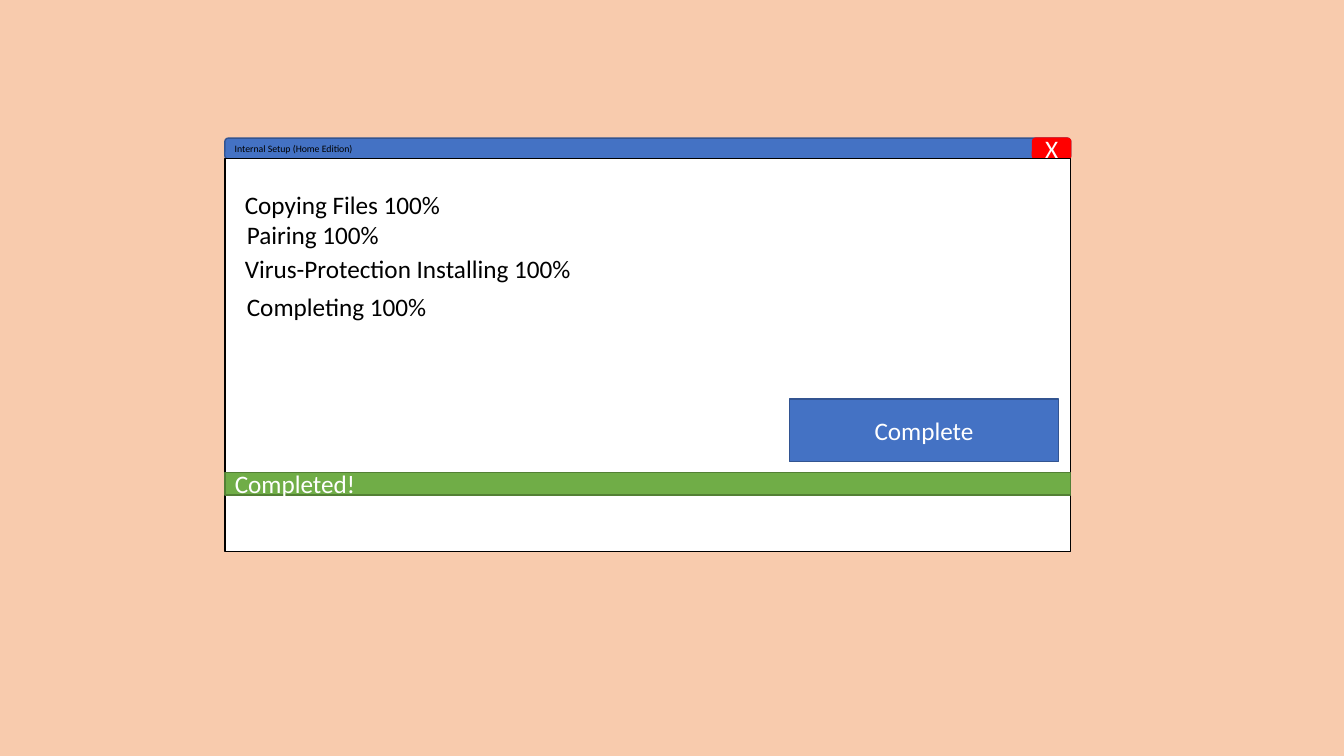
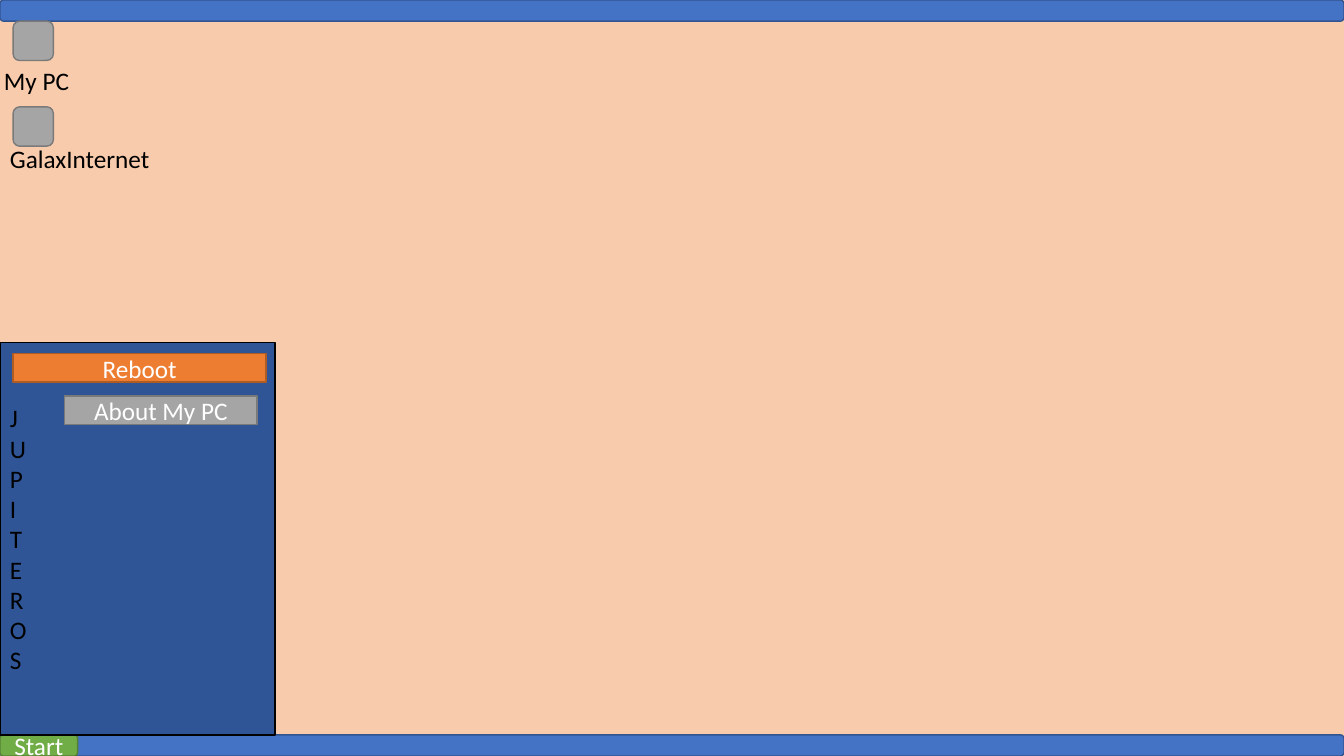
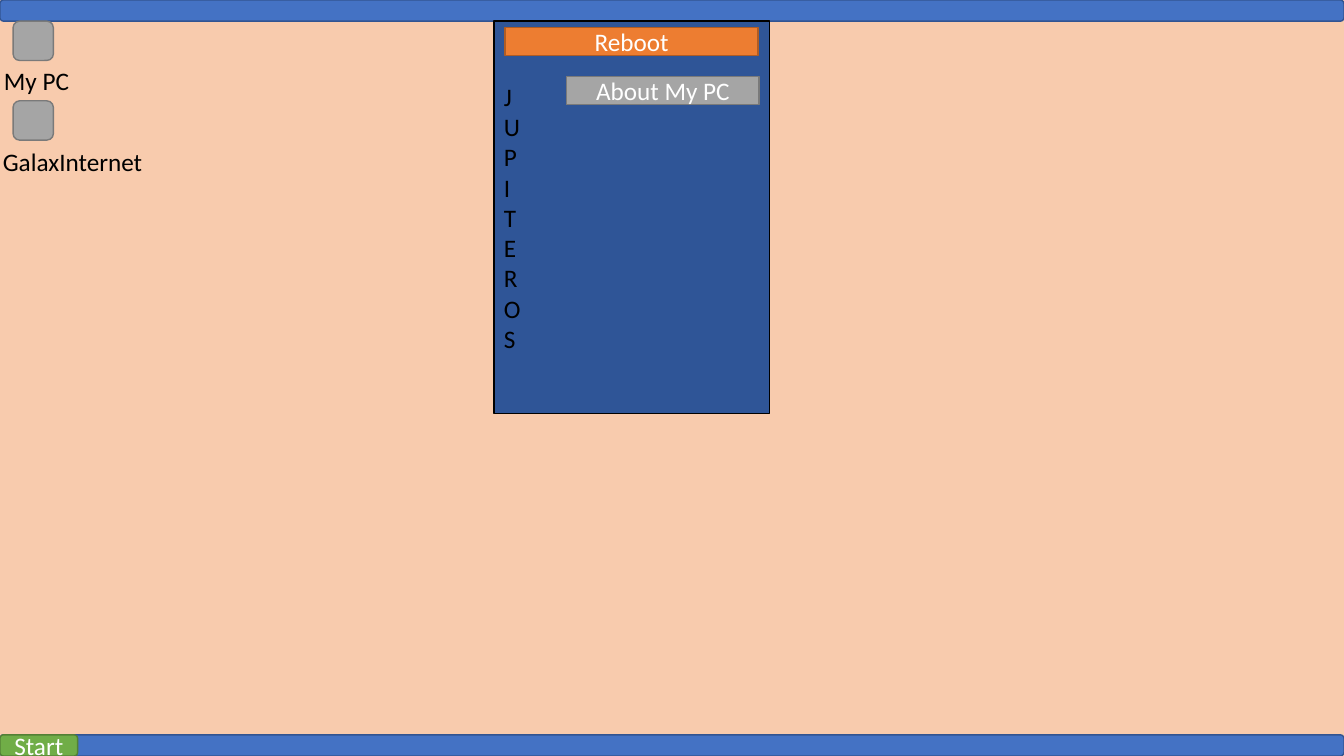
from pptx import Presentation
from pptx import util as u
from pptx.dml.color import RGBColor
from pptx.enum import shapes, text

COLORS = {
    "desktop": "F8CBAD", "bar": "4472C4", "bar_line": "325491",
    "green": "70AD47", "green_line": "538035", "red": "FF0000",
    "menu": "2F5597", "orange": "ED7D31", "orange_line": "AF5C24",
    "gray": "A5A5A5", "gray_line": "7A7A7A",
    "white": "FFFFFF", "black": "000000",
}
# style: (fill, line)
STYLES = {
    "desktop": ("desktop", "desktop"), "bar": ("bar", "bar_line"),
    "green": ("green", "green_line"), "close": ("red", "red"),
    "window": ("white", "black"), "menu": ("menu", "black"),
    "orange": ("orange", "orange_line"), "gray": ("gray", "gray_line"),
}
FONT = "Calibri"
SLIDE_W, SLIDE_H = 13.33, 7.5
BAR_H, LABEL_H, BUTTON_H = 0.21, 0.4, 0.28
RECT = shapes.MSO_SHAPE.RECTANGLE
ROUND = shapes.MSO_SHAPE.ROUNDED_RECTANGLE
LEFT, CENTER = text.PP_ALIGN.LEFT, text.PP_ALIGN.CENTER

WINDOW = {"left": 2.23, "top": 1.37, "width": 8.39}
WINDOW_TITLE = "Internal Setup (Home Edition)"
# text, left, top, width
STEPS = [
    ("Copying Files 100%", 2.33, 1.83, 2.5),
    ("Pairing 100%", 2.35, 2.13, 2.5),
    ("Virus-Protection Installing 100%", 2.33, 2.46, 3.86),
    ("Completing 100%", 2.35, 2.84, 2.5),
]
# Paragraphs of the vertical system name; each letter has its own line
SYSTEM_NAME = ["J", "U", "PITER", "OS"]
MENU_SIZE = (2.73, 3.89)
ICON_LEFT, ICON_SIZE = 0.13, (0.4, 0.39)
PC_ICON = {"text": "My PC", "top": 0.21, "label": (-0.06, 0.6, 1.19)}
# Positions of menu and buttons are (left, top)
DESKTOPS = [
    {"menu": (0, 3.4), "reboot": (0.13, 3.51), "about": (0.64, 3.93),
     "icons": [PC_ICON, {"text": "GalaxInternet", "top": 1.06,
                         "label": (0, 1.37, 2.14)}]},
    {"menu": (4.9, 0.21), "reboot": (5.01, 0.27), "about": (5.62, 0.76),
     "icons": [PC_ICON, {"text": "GalaxInternet", "top": 1.0,
                         "label": (-0.07, 1.4, 2.14)}]},
]


def rgb(name):
    return RGBColor.from_string(COLORS[name])


def add_run(p, content, color, size=18):
    r = p.add_run()
    r.text = content
    r.font.name, r.font.size = FONT, u.Pt(size)
    r.font.color.rgb = rgb(color)


def add_box(s, kind, style, at, content="", align=CENTER):
    sp = s.shapes.add_shape(kind, *map(u.Inches, at))
    fill, line = STYLES[style]
    sp.shadow.inherit = False
    sp.fill.solid()
    sp.fill.fore_color.rgb = rgb(fill)
    sp.line.color.rgb = rgb(line)
    sp.line.width = u.Pt(1)
    if content:
        tf = sp.text_frame
        tf.vertical_anchor = text.MSO_ANCHOR.MIDDLE
        tf.paragraphs[0].alignment = align
        add_run(tf.paragraphs[0], content, "white")
    return sp


def add_label(s, content, left, top, width, height=LABEL_H, size=18):
    tf = s.shapes.add_textbox(*map(u.Inches, (left, top, width, height))).text_frame
    tf.word_wrap = True
    tf.auto_size = text.MSO_AUTO_SIZE.SHAPE_TO_FIT_TEXT
    add_run(tf.paragraphs[0], content, "black", size)


def new_slide(prs):
    s = prs.slides.add_slide(prs.slide_layouts[6])
    add_box(s, RECT, "desktop", (0, 0, SLIDE_W, SLIDE_H))
    return s


def add_setup_slide(prs):
    s = new_slide(prs)
    left, top, width = WINDOW["left"], WINDOW["top"], WINDOW["width"]
    close_w = 0.38
    add_box(s, ROUND, "bar", (left, top, width, BAR_H))
    add_box(s, ROUND, "close", (left + width - close_w, top, close_w, BAR_H), "X")
    add_label(s, WINDOW_TITLE, left, top, 2.5, 0.22, size=7)
    add_box(s, RECT, "window", (left, top + 0.2, width, 3.9))
    add_box(s, RECT, "green", (left, 4.69, width, 0.22), "Completed!", LEFT)
    add_box(s, RECT, "bar", (7.83, 3.96, 2.67, 0.62), "Complete")
    for content, x, y, w in STEPS:
        add_label(s, content, x, y, w)


def add_menu(s, desktop):
    sp = add_box(s, RECT, "menu", (*desktop["menu"], *MENU_SIZE))
    tf = sp.text_frame
    tf.vertical_anchor = text.MSO_ANCHOR.MIDDLE
    for i, letters in enumerate(SYSTEM_NAME):
        p = tf.add_paragraph() if i else tf.paragraphs[0]
        p.alignment = LEFT
        for j, letter in enumerate(letters):
            if j:
                p.add_line_break()
            add_run(p, letter, "black")
    add_box(s, RECT, "orange", (*desktop["reboot"], 2.51, BUTTON_H), "Reboot")
    add_box(s, RECT, "gray", (*desktop["about"], 1.91, BUTTON_H), "About My PC")


def add_desktop_slide(prs, desktop):
    s = new_slide(prs)
    bottom = SLIDE_H - BAR_H
    for top in (bottom, 0):
        add_box(s, ROUND, "bar", (0, top, SLIDE_W, BAR_H))
    add_box(s, ROUND, "green", (0, bottom, 0.77, BAR_H), "Start")
    add_menu(s, desktop)
    for icon in desktop["icons"]:
        add_box(s, ROUND, "gray", (ICON_LEFT, icon["top"], *ICON_SIZE))
        add_label(s, icon["text"], *icon["label"])


def main():
    prs = Presentation()
    prs.slide_width, prs.slide_height = u.Inches(SLIDE_W), u.Inches(SLIDE_H)
    add_setup_slide(prs)
    for desktop in DESKTOPS:
        add_desktop_slide(prs, desktop)
    prs.save("out.pptx")


if __name__ == "__main__":
    main()
